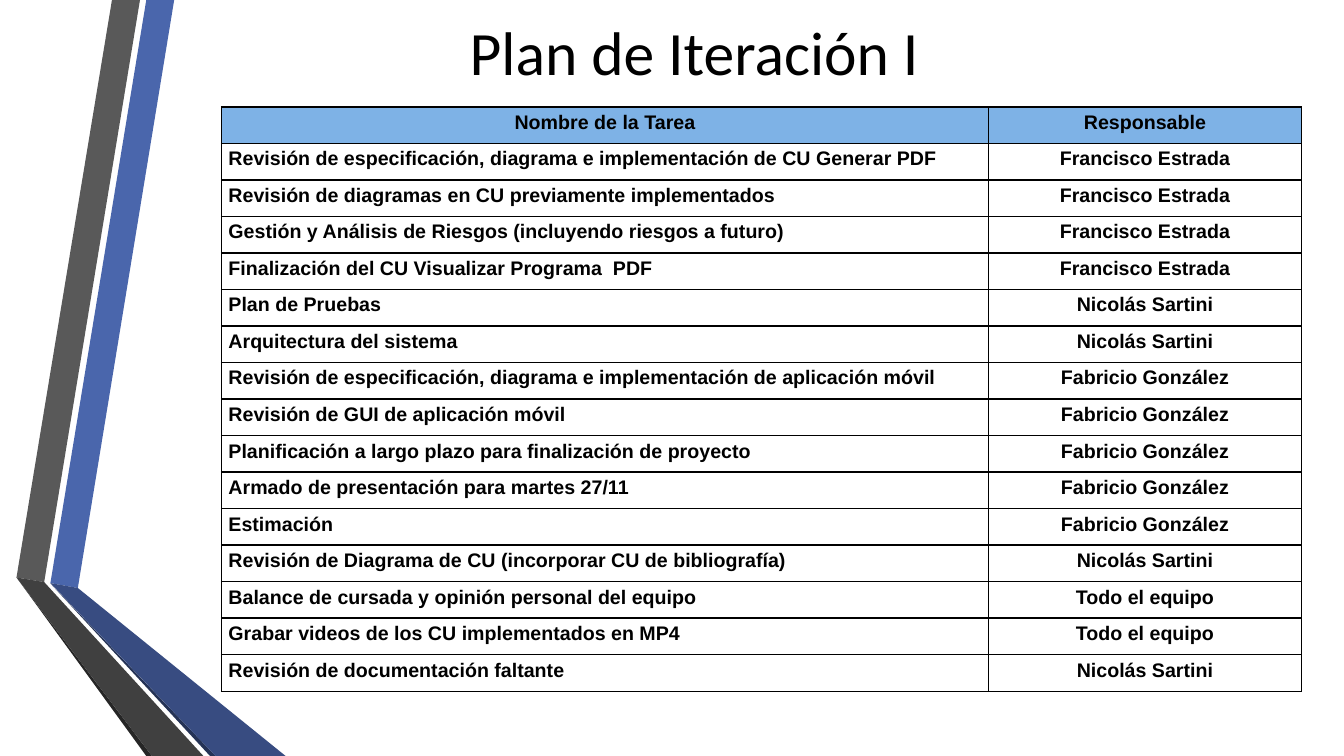
from lxml import etree
from pptx import Presentation
from pptx.dml.color import RGBColor
from pptx.enum import text
from pptx.oxml import ns
from pptx.util import Pt

TITLE = "Plan de Iteración I"
HEADER = ("Nombre de la Tarea", "Responsable")
FRANCISCO, NICOLAS, FABRICIO, TEAM = (
    "Francisco Estrada", "Nicolás Sartini", "Fabricio González", "Todo el equipo")
TASKS = [
    ("Revisión de especificación, diagrama e implementación de CU Generar PDF", FRANCISCO),
    ("Revisión de diagramas en CU previamente implementados", FRANCISCO),
    ("Gestión y Análisis de Riesgos (incluyendo riesgos a futuro)", FRANCISCO),
    ("Finalización del CU Visualizar Programa  PDF", FRANCISCO),
    ("Plan de Pruebas", NICOLAS),
    ("Arquitectura del sistema", NICOLAS),
    ("Revisión de especificación, diagrama e implementación de aplicación móvil", FABRICIO),
    ("Revisión de GUI de aplicación móvil", FABRICIO),
    ("Planificación a largo plazo para finalización de proyecto", FABRICIO),
    ("Armado de presentación para martes 27/11", FABRICIO),
    ("Estimación", FABRICIO),
    ("Revisión de Diagrama de CU (incorporar CU de bibliografía)", NICOLAS),
    ("Balance de cursada y opinión personal del equipo", TEAM),
    ("Grabar videos de los CU implementados en MP4", TEAM),
    ("Revisión de documentación faltante", NICOLAS),
]

COLORS = {
    "blue": "4A66AC", "blue_dark": "384C81", "blue_edge": "253356",
    "gray": "595959", "gray_dark": "404040", "gray_edge": "262626",
    "header": "7EB2E6", "ink": "000000",
}
# Ribbon outlines in points, from back to front
RIBBONS = [
    ("blue", [(36, 416.5), (55.6, 420), (124.4, 0), (104.5, 0)]),
    ("gray", [(100, 0), (80, 0), (11.8, 412.5), (31.6, 415.8)]),
    ("gray_edge", [(11.8, 412.5), (104.5, 540), (108.5, 540)]),
    ("blue_edge", [(36, 416.8), (150, 540), (154, 540)]),
    ("blue_dark", [(36, 416.5), (154, 540), (204, 540), (55.6, 420)]),
    ("gray_dark", [(11.8, 412.5), (108.5, 540), (145.3, 540), (31.6, 415.8)]),
]
SLIDE_WIDTH, SLIDE_HEIGHT = 960, 540
TITLE_BOX = (101.5, -33, 789, 138)
TABLE_LEFT, TABLE_TOP, ROW_HEIGHT = 158.2, 76.4, 26.1
COLUMN_WIDTHS = (548, 223.4)


def color(name):
    return RGBColor.from_string(COLORS[name])


def draw_ribbon(slide, fill, outline):
    points = [(Pt(x), Pt(y)) for x, y in outline]
    builder = slide.shapes.build_freeform(*points[0])
    builder.add_line_segments(points[1:], close=True)
    ribbon = builder.convert_to_shape()
    ribbon.shadow.inherit = False
    ribbon.fill.solid()
    ribbon.fill.fore_color.rgb = color(fill)
    ribbon.line.fill.background()


def set_font(paragraph, name, size, bold):
    paragraph.font.name = name
    paragraph.font.size = Pt(size)
    paragraph.font.bold = bold
    paragraph.font.color.rgb = color("ink")


def draw_title(slide):
    frame = slide.shapes.add_textbox(*map(Pt, TITLE_BOX)).text_frame
    frame.word_wrap = True
    frame.vertical_anchor = text.MSO_ANCHOR.MIDDLE
    heading = frame.paragraphs[0]
    heading.text = TITLE
    heading.alignment = text.PP_ALIGN.CENTER
    set_font(heading, "Calibri", 44, False)


def add_borders(cell):
    """Put a 1 pt line on all four sides; borders must precede the fill."""
    properties = cell._tc.get_or_add_tcPr()
    for position, side in enumerate(("lnL", "lnR", "lnT", "lnB")):
        border = etree.Element(ns.qn(f"a:{side}"), w=str(Pt(1)))
        solid = etree.SubElement(border, ns.qn("a:solidFill"))
        etree.SubElement(solid, ns.qn("a:srgbClr"), val=COLORS["ink"])
        properties.insert(position, border)


def fill_cell(cell, wording, is_header, alignment):
    cell.margin_left = cell.margin_right = Pt(5)
    cell.margin_top = cell.margin_bottom = 0
    cell.vertical_anchor = text.MSO_ANCHOR.MIDDLE
    if is_header:
        cell.fill.solid()
        cell.fill.fore_color.rgb = color("header")
    else:
        cell.fill.background()
    add_borders(cell)
    entry = cell.text_frame.paragraphs[0]
    entry.text = wording
    entry.alignment = alignment
    entry.line_spacing = Pt(12)
    set_font(entry, "Arial", 14, True)


def draw_plan(slide):
    rows = [HEADER] + TASKS
    plan = slide.shapes.add_table(
        len(rows), len(HEADER), Pt(TABLE_LEFT), Pt(TABLE_TOP),
        Pt(sum(COLUMN_WIDTHS)), Pt(ROW_HEIGHT * len(rows))).table
    plan.first_row = plan.horz_banding = False
    for column, width in zip(plan.columns, COLUMN_WIDTHS):
        column.width = Pt(width)
    for r, row in enumerate(rows):
        plan.rows[r].height = Pt(ROW_HEIGHT)
        for c, wording in enumerate(row):
            is_task = r > 0 and c == 0
            alignment = text.PP_ALIGN.JUSTIFY if is_task else text.PP_ALIGN.CENTER
            fill_cell(plan.cell(r, c), wording, r == 0, alignment)


def main():
    presentation = Presentation()
    presentation.slide_width = Pt(SLIDE_WIDTH)
    presentation.slide_height = Pt(SLIDE_HEIGHT)
    slide = presentation.slides.add_slide(presentation.slide_layouts[6])
    for fill, outline in RIBBONS:
        draw_ribbon(slide, fill, outline)
    draw_title(slide)
    draw_plan(slide)
    presentation.save("out.pptx")


if __name__ == "__main__":
    main()
